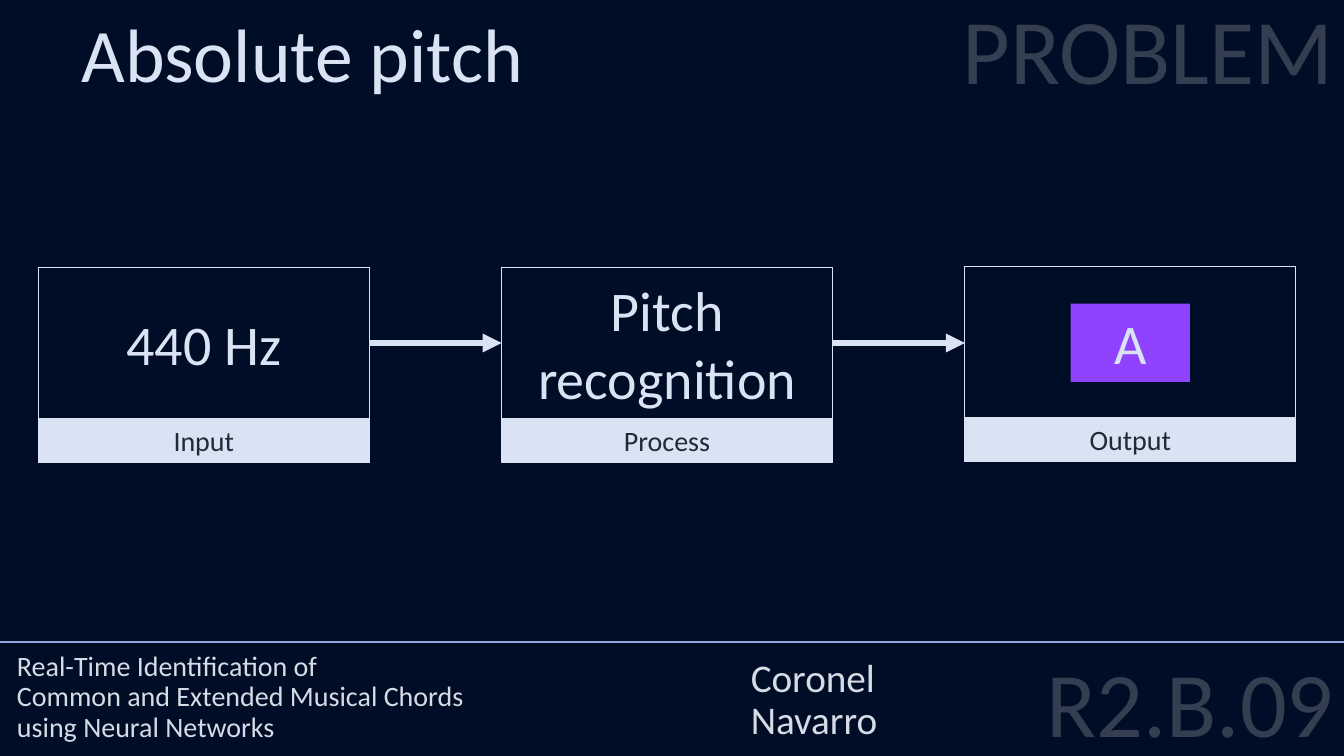
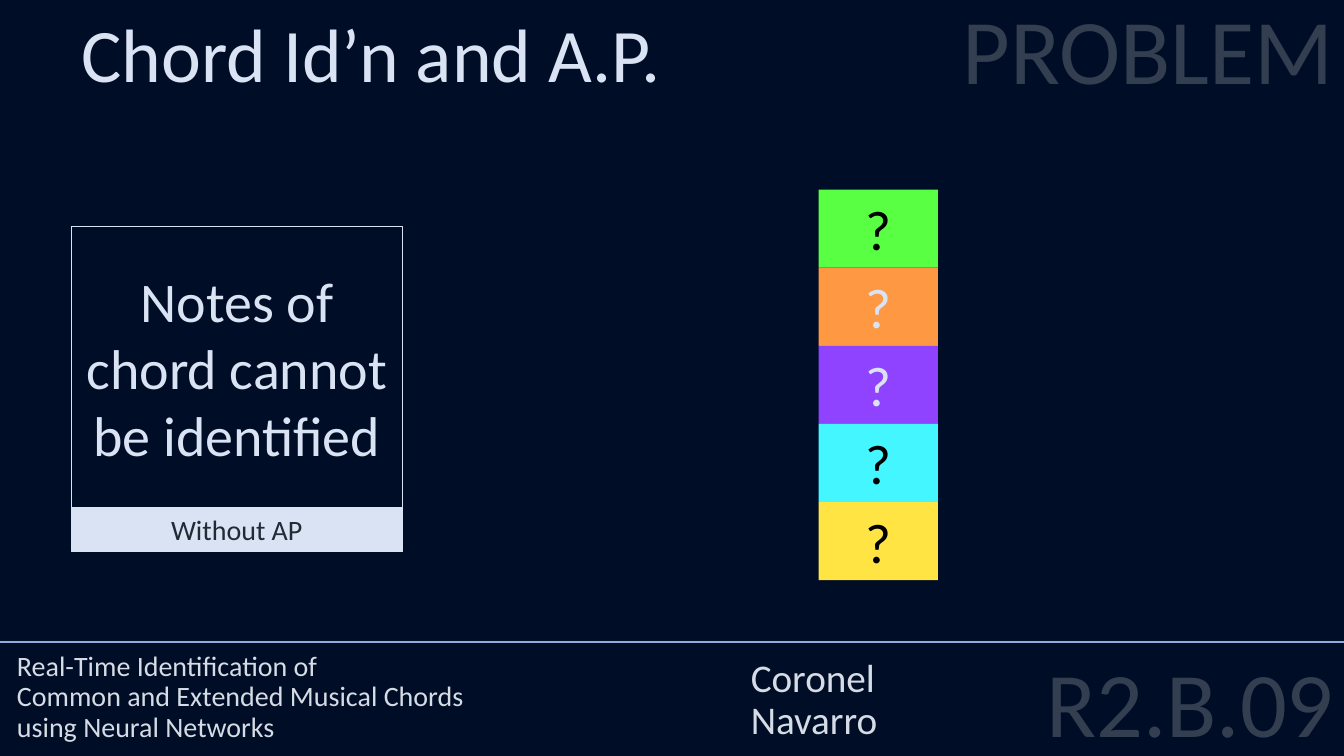
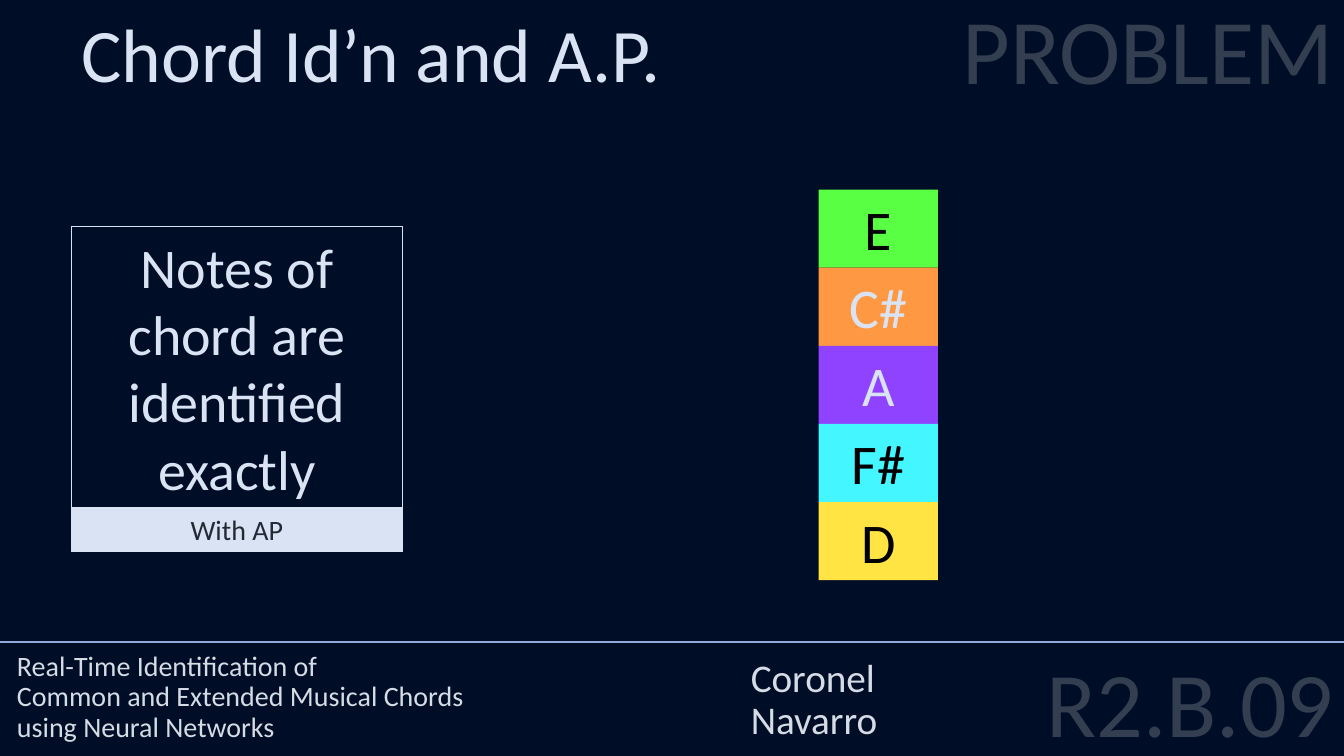
from lxml import etree
from pptx import Presentation
from pptx.dml.color import RGBColor
from pptx.enum.shapes import MSO_CONNECTOR, MSO_SHAPE
from pptx.enum.text import MSO_ANCHOR, PP_ALIGN
from pptx.oxml.ns import qn
from pptx.util import Pt

STRAIGHT = MSO_CONNECTOR.STRAIGHT
RECTANGLE = MSO_SHAPE.RECTANGLE
TOP, MIDDLE, BOTTOM = MSO_ANCHOR.TOP, MSO_ANCHOR.MIDDLE, MSO_ANCHOR.BOTTOM
LEFT, CENTER, RIGHT = PP_ALIGN.LEFT, PP_ALIGN.CENTER, PP_ALIGN.RIGHT

FONT = "Calibri"
NAVY, PALE, SLATE, INK = "000D26", "DAE3F3", "333F50", "222A35"
FOOTER_TEXT, FOOTER_RULE, BLACK = "D6DCE5", "8FAADC", "000000"
GREEN, ORANGE, PURPLE, CYAN, YELLOW = "59FF43", "FF9843", "8F43FF", "43F6FF", "FFE443"

SLIDE_WIDTH, SLIDE_HEIGHT = 960, 540
CARD_WIDTH, LABEL_HEIGHT = 236.4, 31.5
TILE_WIDTH, TILE_HEIGHT = 85.2, 55.8
CHORD_COLORS = [(GREEN, BLACK), (ORANGE, PALE), (PURPLE, PALE), (CYAN, BLACK), (YELLOW, BLACK)]


def rgb(value):
    return RGBColor.from_string(value)


def write_text(shape, text, *, size, color=PALE, align=LEFT, anchor=TOP,
               line_spacing=1.0, space_before=0):
    frame = shape.text_frame
    frame.word_wrap = True
    frame.vertical_anchor = anchor
    frame.text = text
    for paragraph in frame.paragraphs:
        paragraph.alignment = align
        paragraph.line_spacing = line_spacing
        paragraph.space_before = Pt(space_before)
        for run in paragraph.runs:
            run.font.name = FONT
            run.font.size = Pt(size)
            run.font.color.rgb = rgb(color)


def add_text(slide, text, left, top, width, height, **text_format):
    box = slide.shapes.add_textbox(Pt(left), Pt(top), Pt(width), Pt(height))
    write_text(box, text, **text_format)


def add_box(slide, left, top, width, height, fill=None, outline=None):
    box = slide.shapes.add_shape(RECTANGLE, Pt(left), Pt(top), Pt(width), Pt(height))
    box.shadow.inherit = False
    if fill:
        box.fill.solid()
        box.fill.fore_color.rgb = rgb(fill)
    else:
        box.fill.background()
    if outline:
        box.line.color.rgb = rgb(outline)
        box.line.width = Pt(0.75)
    else:
        box.line.fill.background()
    return box


def add_rule(slide, start, end, y, color, width, arrow=False):
    rule = slide.shapes.add_connector(STRAIGHT, Pt(start), Pt(y), Pt(end), Pt(y))
    rule.line.color.rgb = rgb(color)
    rule.line.width = Pt(width)
    if arrow:
        etree.SubElement(rule.line._get_or_add_ln(), qn("a:tailEnd"), type="triangle")
    etree.SubElement(rule._element.spPr, qn("a:effectLst"))


def add_card(slide, left, top, body_height, body, label):
    content = add_box(slide, left, top, CARD_WIDTH, body_height, outline=PALE)
    if body:
        write_text(content, body, size=40, align=CENTER, anchor=MIDDLE)
    caption = add_box(slide, left, top + body_height, CARD_WIDTH, LABEL_HEIGHT, PALE, PALE)
    write_text(caption, label, size=20, color=INK, align=CENTER)


def add_note_tile(slide, left, top, note, fill, color):
    tile = add_box(slide, left, top, TILE_WIDTH, TILE_HEIGHT, fill)
    write_text(tile, note, size=40, color=color, align=CENTER)


def add_base_slide(deck, title):
    slide = deck.slides.add_slide(deck.slide_layouts[6])
    add_text(slide, "Real-Time Identification of\vCommon and Extended Musical Chords\v"
             "using Neural Networks", 5, 319, 524.2, 215.3, size=20, color=FOOTER_TEXT,
             anchor=BOTTOM, line_spacing=0.9)
    add_text(slide, "R2.B.09", 609.1, 472.3, 350.9, 74.9, size=66, color=SLATE,
             align=RIGHT, line_spacing=0.8, space_before=10)
    add_rule(slide, 0, SLIDE_WIDTH, 458.6, FOOTER_RULE, 1.5)
    add_text(slide, "Coronel\nNavarro", 529.2, 319, 367.2, 215.3, size=28,
             color=FOOTER_TEXT, anchor=BOTTOM, line_spacing=0.9)
    add_text(slide, "PROBLEM", 160, 0, 800, 257.8, size=66, color=SLATE,
             align=RIGHT, line_spacing=0.9, space_before=10)
    add_text(slide, title, 51, 1.4, 566, 72.7, size=54)
    return slide


def add_pitch_slide(deck):
    slide = add_base_slide(deck, "Absolute pitch")
    first_left, step = 27.4, 330.9
    steps = [("440 Hz", "Input", 191.4), ("Pitch recognition", "Process", 191.4),
             (None, "Output", 190.7)]
    for index, (body, label, top) in enumerate(steps):
        left = first_left + index * step
        add_card(slide, left, top, 107.3, body, label)
        if index:
            add_rule(slide, left - step + CARD_WIDTH, left, 245, PALE, 4.5, arrow=True)
    add_note_tile(slide, 764.8, 216.9, "A", PURPLE, PALE)


def add_chord_slide(deck, finding, label, notes):
    slide = add_base_slide(deck, "Chord Id’n and A.P.")
    add_card(slide, 51, 161.6, 201, finding, label)
    for index, (note, (fill, color)) in enumerate(zip(notes, CHORD_COLORS)):
        add_note_tile(slide, 584.8, 135.4 + index * TILE_HEIGHT, note, fill, color)


def main():
    deck = Presentation()
    deck.slide_width, deck.slide_height = Pt(SLIDE_WIDTH), Pt(SLIDE_HEIGHT)
    backdrop = deck.slide_master.background.fill
    backdrop.solid()
    backdrop.fore_color.rgb = rgb(NAVY)
    add_pitch_slide(deck)
    add_chord_slide(deck, "Notes of chord cannot be identified", "Without AP", ["?"] * 5)
    add_chord_slide(deck, "Notes of chord are identified exactly", "With AP",
                    ["E", "C#", "A", "F#", "D"])
    deck.save("out.pptx")


main()
